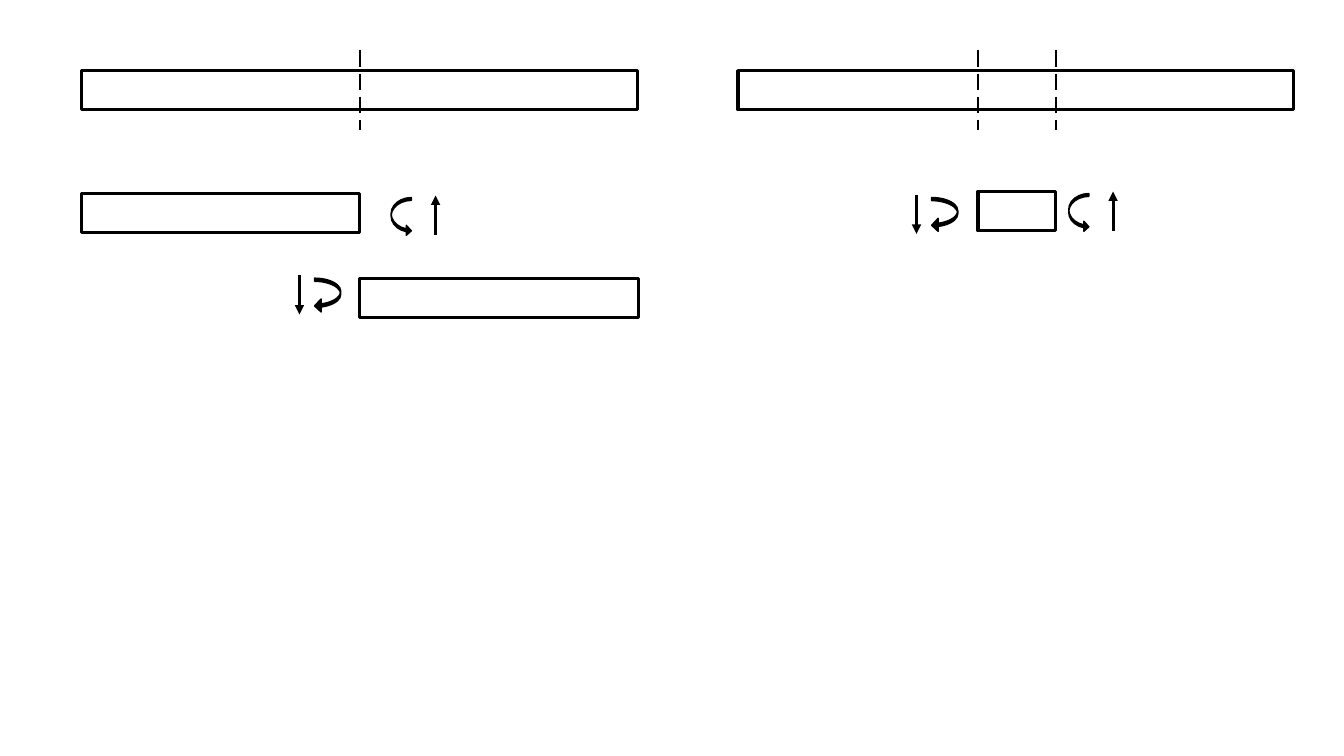
from pptx import Presentation
from pptx.dml.color import RGBColor
from pptx.enum.dml import MSO_LINE
from pptx.enum.shapes import MSO_CONNECTOR, MSO_SHAPE as SHAPE
from pptx.oxml.ns import qn
from pptx.util import Inches, Pt
from lxml.etree import SubElement

BLACK = RGBColor(0x00, 0x00, 0x00)


class BeamSketch:
    bar_height = 0.39
    cut_top, cut_bottom = 0.5, 1.29
    bar_line, cut_line, curl_line = Pt(2.25), Pt(1.5), Pt(1)

    def __init__(self, slide):
        self.s = slide

    def shape(self, kind, x, y, w, h, line_width):
        sp = self.s.shapes.add_shape(kind, Inches(x), Inches(y), Inches(w), Inches(h))
        sp.shadow.inherit = False
        sp.fill.background()
        sp.line.color.rgb = BLACK
        sp.line.width = line_width
        return sp

    def line(self, x, top, bottom, line_width):
        c = self.s.shapes.add_connector(
            MSO_CONNECTOR.STRAIGHT, Inches(x), Inches(top), Inches(x), Inches(bottom))
        c.line.color.rgb = BLACK
        c.line.width = line_width
        SubElement(c._element.spPr, qn("a:effectLst"))
        return c

    def bar(self, x, y, w):
        self.shape(SHAPE.RECTANGLE, x, y, w, self.bar_height, self.bar_line)

    def cut(self, x):
        c = self.line(x, self.cut_top, self.cut_bottom, self.cut_line)
        c.line.dash_style = MSO_LINE.LONG_DASH

    def force(self, x, y, end):
        c = self.line(x, y, y + self.bar_height, self.bar_line)
        SubElement(c.line._get_or_add_ln(), qn(f"a:{end}"), type="triangle")

    def moment(self, kind, x, y, w, h, thickness):
        sp = self.shape(kind, x, y, w, h, self.curl_line)
        sp.fill.solid()
        sp.fill.fore_color.rgb = BLACK
        for i, value in enumerate((thickness, 0.5, 0.25)):
            sp.adjustments[i] = value

    def right_face(self, x, y):
        self.moment(SHAPE.CURVED_RIGHT_ARROW, x, y, 0.2, 0.38, 0.141)
        self.force(x + 0.44, y - 0.02, "headEnd")

    def left_face(self, x, y):
        self.moment(SHAPE.CURVED_LEFT_ARROW, x, y, 0.26, 0.34, 0.121)
        self.force(x - 0.15, y - 0.03, "tailEnd")


def main():
    prs = Presentation()
    prs.slide_width, prs.slide_height = Inches(13.33), Inches(7.5)
    sketch = BeamSketch(prs.slides.add_slide(prs.slide_layouts[6]))

    for x, y, w in (
        (0.81, 0.7, 5.51),
        (0.81, 1.92, 2.76),
        (3.57, 2.76, 2.76),
        (7.32, 0.7, 5.51),
        (9.7, 1.9, 0.77),
    ):
        sketch.bar(x, y, w)
    for x in (3.57, 9.7, 10.47):
        sketch.cut(x)
    for x, y in ((3.88, 1.96), (10.6, 1.92)):
        sketch.right_face(x, y)
    for x, y in ((3.12, 2.76), (9.24, 1.96)):
        sketch.left_face(x, y)

    prs.save("out.pptx")


if __name__ == "__main__":
    main()
